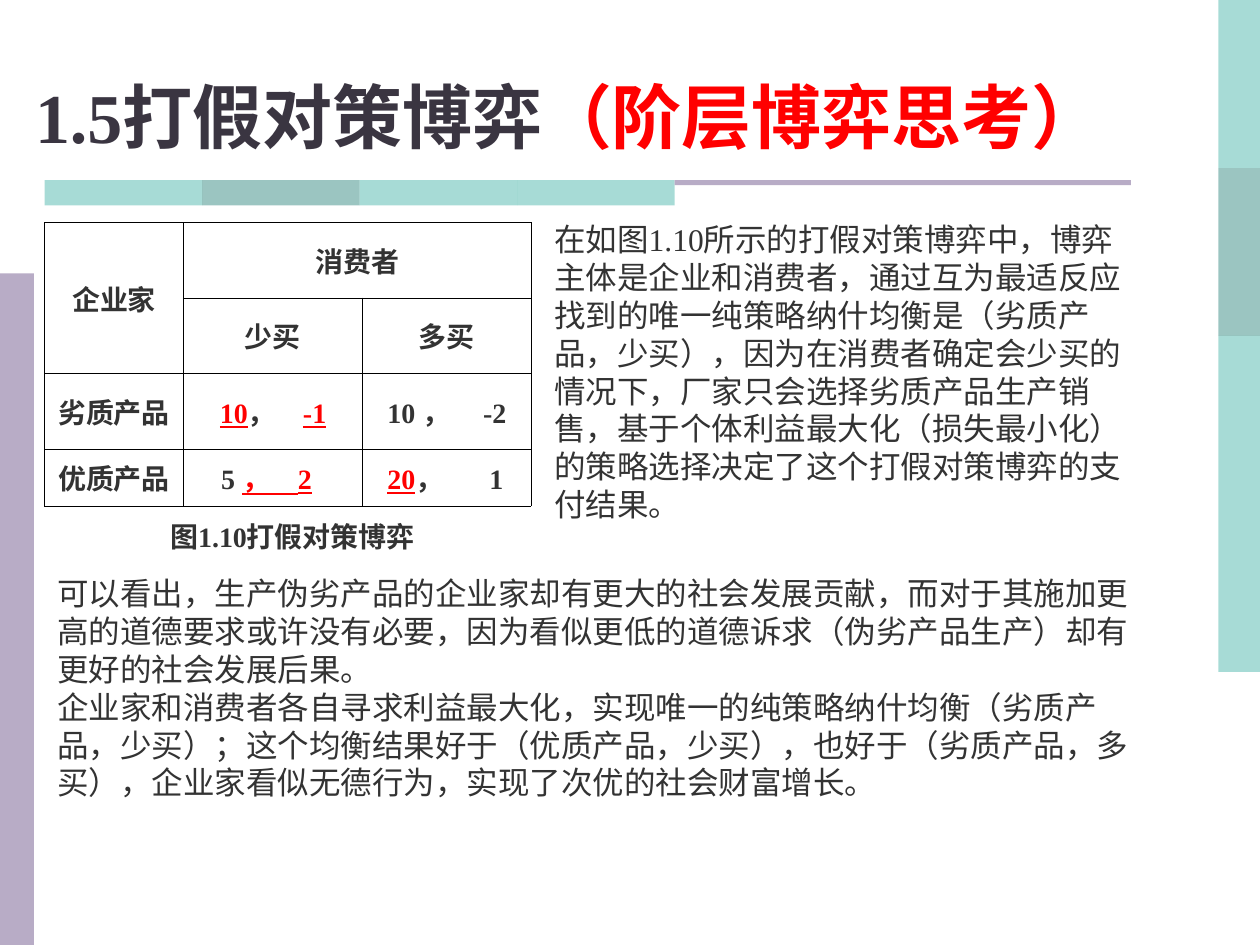
import pptx
import pptx.dml.color
import pptx.enum.shapes
import pptx.enum.text
import pptx.oxml
import pptx.oxml.ns
import pptx.util
from pptx.util import Inches

RGBColor = pptx.dml.color.RGBColor
PP_ALIGN = pptx.enum.text.PP_ALIGN
MSO_ANCHOR = pptx.enum.text.MSO_ANCHOR

TEAL = RGBColor(0x51, 0xB9, 0xAF)
DARK_TEAL = RGBColor(0x39, 0x8D, 0x85)
LILAC = RGBColor(0xB8, 0xAC, 0xC6)
TITLE_COLOR = RGBColor(0x3A, 0x35, 0x41)
TEXT_COLOR = RGBColor(0x33, 0x33, 0x33)
RED = RGBColor(0xFF, 0x00, 0x00)

FONT = "Times New Roman"
LEFT_EDGE = 0.355
BAND_COLORS = [TEAL, DARK_TEAL, TEAL, TEAL]
COLUMN_WIDTHS = [1.1, 1.42, 1.34]
ROW_HEIGHTS = [0.6, 0.6, 0.6, 0.45]

# Row, column, text
LABELS = [
    (0, 0, "企业家"),
    (0, 1, "消费者"),
    (1, 1, "少买"),
    (1, 2, "多买"),
    (2, 0, "劣质产品"),
    (3, 0, "优质产品"),
]

# Row, column, left margin, tab stop, (text, is best response) runs
# The underlined gap is one wide space, as a tab draws no underline
PAYOFFS = [
    (2, 1, 0.29, 0.66, [("10", True), ("，\t", False), ("-1", True)]),
    (2, 2, 0.2, 0.76, [("10 ，\t-2", False)]),
    (3, 1, 0.3, None, [("5 ", False), ("，　2", True)]),
    (3, 2, 0.2, 0.81, [("20", True), ("，\t1", False)]),
]

EQUILIBRIUM_TEXT = (
    "在如图1.10所示的打假对策博弈中，博弈主体是企业和消费者，通过互为最适反应"
    "找到的唯一纯策略纳什均衡是（劣质产品，少买），因为在消费者确定会少买的情况下，"
    "厂家只会选择劣质产品生产销售，基于个体利益最大化（损失最小化）的策略选择"
    "决定了这个打假对策博弈的支付结果。"
)
CONCLUSIONS = [
    "可以看出，生产伪劣产品的企业家却有更大的社会发展贡献，而对于其施加更高的"
    "道德要求或许没有必要，因为看似更低的道德诉求（伪劣产品生产）却有更好的社会发展后果。",
    "企业家和消费者各自寻求利益最大化，实现唯一的纯策略纳什均衡（劣质产品，少买）；"
    "这个均衡结果好于（优质产品，少买），也好于（劣质产品，多买），"
    "企业家看似无德行为，实现了次优的社会财富增长。",
]


def add_block(slide, left, top, width, height, color, opacity=100):
    shape = slide.shapes.add_shape(
        pptx.enum.shapes.MSO_SHAPE.RECTANGLE,
        Inches(left), Inches(top), Inches(width), Inches(height))
    shape.shadow.inherit = False
    shape.line.fill.background()
    shape.fill.solid()
    shape.fill.fore_color.rgb = color
    if opacity < 100:
        color_element = shape.fill._xPr.find(".//" + pptx.oxml.ns.qn("a:srgbClr"))
        color_element.append(pptx.oxml.parse_xml(
            f'<a:alpha {pptx.oxml.ns.nsdecls("a")} val="{opacity * 1000}"/>'))


def add_run(paragraph, text, size, color=TEXT_COLOR, bold=False, underline=False):
    run = paragraph.add_run()
    run.text = text
    font = run.font
    font.name = FONT
    font.size = pptx.util.Pt(size)
    font.color.rgb = color
    font.bold = bold
    font.underline = underline


def add_text(slide, left, top, width, height, paragraphs, size, bold=False,
             align=PP_ALIGN.LEFT, anchor=MSO_ANCHOR.TOP):
    """Each paragraph is a list of (text, color) runs."""
    box = slide.shapes.add_textbox(
        Inches(left), Inches(top), Inches(width), Inches(height))
    frame = box.text_frame
    frame.word_wrap = True
    frame.vertical_anchor = anchor
    for index, runs in enumerate(paragraphs):
        paragraph = frame.add_paragraph() if index else frame.paragraphs[0]
        paragraph.alignment = align
        # Keep punctuation inside the right edge
        paragraph._p.get_or_add_pPr().set("hangingPunct", "0")
        for text, color in runs:
            add_run(paragraph, text, size, color, bold)


def style_cell(cell):
    properties = cell._tc.get_or_add_tcPr()
    for side in ("lnL", "lnR", "lnT", "lnB"):
        properties.append(pptx.oxml.parse_xml(
            f'<a:{side} {pptx.oxml.ns.nsdecls("a")} w="{pptx.util.Pt(0.45)}">'
            f'<a:solidFill><a:srgbClr val="000000"/></a:solidFill></a:{side}>'))
    cell.fill.background()
    cell.vertical_anchor = MSO_ANCHOR.MIDDLE


def add_tab_stop(paragraph, position):
    paragraph._p.get_or_add_pPr().append(pptx.oxml.parse_xml(
        f'<a:tabLst {pptx.oxml.ns.nsdecls("a")}>'
        f'<a:tab pos="{Inches(position)}" algn="l"/></a:tabLst>'))


def add_payoff_table(slide):
    table = slide.shapes.add_table(
        len(ROW_HEIGHTS), len(COLUMN_WIDTHS), Inches(LEFT_EDGE), Inches(1.765),
        Inches(sum(COLUMN_WIDTHS)), Inches(sum(ROW_HEIGHTS))).table
    table.first_row = False
    table.horz_banding = False
    for column, width in zip(table.columns, COLUMN_WIDTHS):
        column.width = Inches(width)
    for row, height in zip(table.rows, ROW_HEIGHTS):
        row.height = Inches(height)
    for cell in table.iter_cells():
        style_cell(cell)
    table.cell(0, 0).merge(table.cell(1, 0))
    table.cell(0, 1).merge(table.cell(0, 2))

    for row, column, text in LABELS:
        paragraph = table.cell(row, column).text_frame.paragraphs[0]
        paragraph.alignment = PP_ALIGN.CENTER
        add_run(paragraph, text, 16, bold=True)

    for row, column, margin, tab_stop, runs in PAYOFFS:
        cell = table.cell(row, column)
        cell.margin_left = Inches(margin)
        paragraph = cell.text_frame.paragraphs[0]
        if tab_stop:
            add_tab_stop(paragraph, tab_stop)
        for text, is_best in runs:
            add_run(paragraph, text, 16, RED if is_best else TEXT_COLOR, True, is_best)


def add_decoration(slide):
    for index, color in enumerate(BAND_COLORS):
        # Right-hand band and the bar under the title
        add_block(slide, 9.67, index * 4 / 3, 0.33, 4 / 3, color, 50)
        add_block(slide, LEFT_EDGE + index * 1.25, 1.43, 1.25, 0.2, color, 50)
    add_block(slide, 0, 2.17, 0.27, 5.33, LILAC)
    add_block(slide, LEFT_EDGE + 5, 1.43, 3.62, 0.04, LILAC)


def main():
    presentation = pptx.Presentation()
    presentation.slide_width = Inches(10)
    presentation.slide_height = Inches(7.5)
    slide = presentation.slides.add_slide(presentation.slide_layouts[6])

    add_decoration(slide)

    # Table and its caption
    add_text(slide, 0.51, 4.07, 3.62, 0.37, [[("图1.10打假对策博弈", TEXT_COLOR)]],
             16, True, PP_ALIGN.CENTER, MSO_ANCHOR.MIDDLE)
    add_payoff_table(slide)

    # Discussion
    add_text(slide, 4.3, 1.7, 4.88, 2.2, [[(EQUILIBRIUM_TEXT, TEXT_COLOR)]], 18)
    add_text(slide, LEFT_EDGE, 4.51, 8.82, 1.9,
             [[(text, TEXT_COLOR)] for text in CONCLUSIONS], 18)

    # Title
    add_text(slide, 0, 0.44, 9.02, 0.86,
             [[("1.5打假对策博弈", TITLE_COLOR), ("（阶层博弈思考）", RED)]],
             40, True, PP_ALIGN.CENTER, MSO_ANCHOR.BOTTOM)

    presentation.save("out.pptx")


if __name__ == "__main__":
    main()
